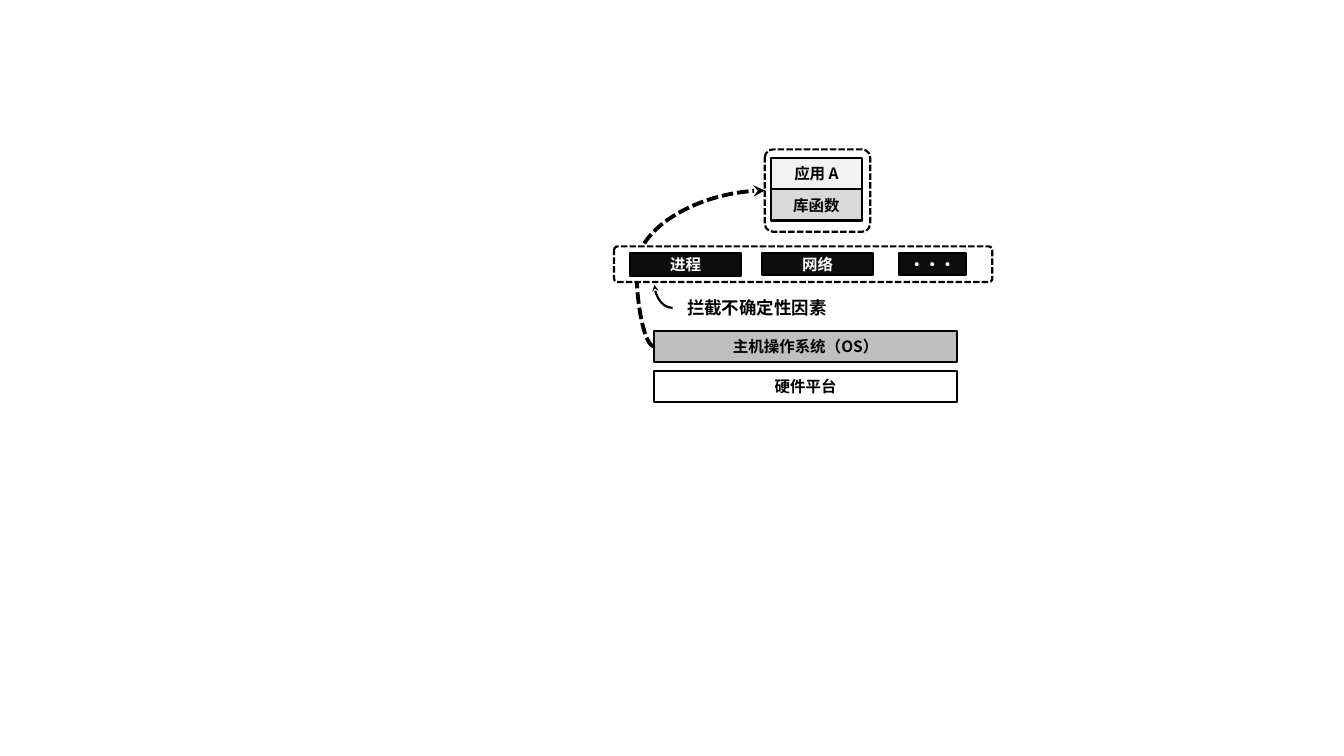
"""Build the slide showing how non-deterministic factors are intercepted above the host OS."""
from lxml import etree
from pptx import Presentation
from pptx.dml.color import RGBColor
from pptx.enum.dml import MSO_LINE
from pptx.enum.shapes import MSO_CONNECTOR, MSO_SHAPE
from pptx.enum.text import MSO_ANCHOR, MSO_AUTO_SIZE, PP_ALIGN
from pptx.oxml.ns import qn
from pptx.util import Inches, Pt

RECT, ROUNDED = MSO_SHAPE.RECTANGLE, MSO_SHAPE.ROUNDED_RECTANGLE
CURVE, DASH = MSO_CONNECTOR.CURVE, MSO_LINE.SQUARE_DOT
MIDDLE, CENTER = MSO_ANCHOR.MIDDLE, PP_ALIGN.CENTER
GROW = MSO_AUTO_SIZE.SHAPE_TO_FIT_TEXT
FONT = "Noto Sans CJK SC"
BLACK = RGBColor(0x00, 0x00, 0x00)
WHITE = RGBColor(0xFF, 0xFF, 0xFF)
INK = RGBColor(0x0D, 0x0D, 0x0D)
GRAY = RGBColor(0xBF, 0xBF, 0xBF)
SILVER = RGBColor(0xD9, 0xD9, 0xD9)
PALE = RGBColor(0xF2, 0xF2, 0xF2)

prs = Presentation()
prs.slide_width, prs.slide_height = Inches(19.26), Inches(10.83)
s = prs.slides.add_slide(prs.slide_layouts[6])


def write(sp, text, size, color):
    tf = sp.text_frame
    tf.word_wrap = True
    p = tf.paragraphs[0]
    p.alignment = CENTER
    r = p.add_run()
    r.text = text
    font = {"name": FONT, "size": Pt(size), "bold": True}
    for key, value in font.items():
        setattr(r.font, key, value)
    r.font.color.rgb = color
    ea = etree.Element(qn("a:ea"), typeface=FONT)
    r.font._element.find(qn("a:latin")).addnext(ea)


def add_box(kind, box, fill):
    sp = s.shapes.add_shape(kind, *map(Inches, box))
    sp.shadow.inherit = False
    if fill is None:
        sp.fill.background()
    else:
        sp.fill.solid()
        sp.fill.fore_color.rgb = fill
    sp.line.color.rgb = BLACK
    sp.line.width = Pt(2.25)
    if kind == ROUNDED:
        sp.adjustments[0] = 0.098
        sp.line.dash_style = DASH
    return sp


add_box(ROUNDED, (10.96, 2.14, 1.51, 1.18), WHITE)
layers = [
    ("硬件平台", (9.37, 5.31, 4.35, 0.45), None),
    ("主机操作系统（OS）", (9.37, 4.74, 4.35, 0.45), GRAY),
    ("库函数", (11.05, 2.71, 1.3, 0.45), SILVER),
    ("应用 A", (11.05, 2.26, 1.3, 0.45), PALE),
]
for text, box, fill in layers:
    sp = add_box(RECT, box, fill)
    sp.text_frame.vertical_anchor = MIDDLE
    write(sp, text, 16, BLACK)

curves = [
    ("curvedConnector3", (9.37, 4.96, 10.96, 2.73), 4, DASH, -15700),
    ("curvedConnector2", (9.64, 4.41, 9.38, 4.08), 2.25, None, None),
]
for preset, ends, width, dash, bend in curves:
    cxn = s.shapes.add_connector(CURVE, *map(Inches, ends))
    cxn.line.color.rgb = BLACK
    cxn.line.width = Pt(width)
    cxn.line.dash_style = dash
    spPr = cxn._element.spPr
    geom = spPr.find(qn("a:prstGeom"))
    geom.set("prst", preset)
    if bend is not None:
        guides = geom.find(qn("a:avLst"))
        etree.SubElement(guides, qn("a:gd"), name="adj1", fmla=f"val {bend}")
    etree.SubElement(spPr.find(qn("a:ln")), qn("a:tailEnd"), type="stealth")
    etree.SubElement(spPr, qn("a:effectLst"))

label = s.shapes.add_textbox(*map(Inches, (9.64, 4.21, 2.41, 0.4)))
write(label, "拦截不确定性因素", 18, BLACK)
label.text_frame.auto_size = GROW

add_box(ROUNDED, (8.8, 3.53, 5.42, 0.51), WHITE)
for text, left, top, width in [("进程", 9.03, 3.63, 1.59),
                               ("网络", 10.92, 3.62, 1.59),
                               ("···", 12.88, 3.62, 0.96)]:
    sp = add_box(RECT, (left, top, width, 0.32), INK)
    sp.text_frame.vertical_anchor = MIDDLE
    write(sp, text, 16, WHITE)

prs.save("out.pptx")
